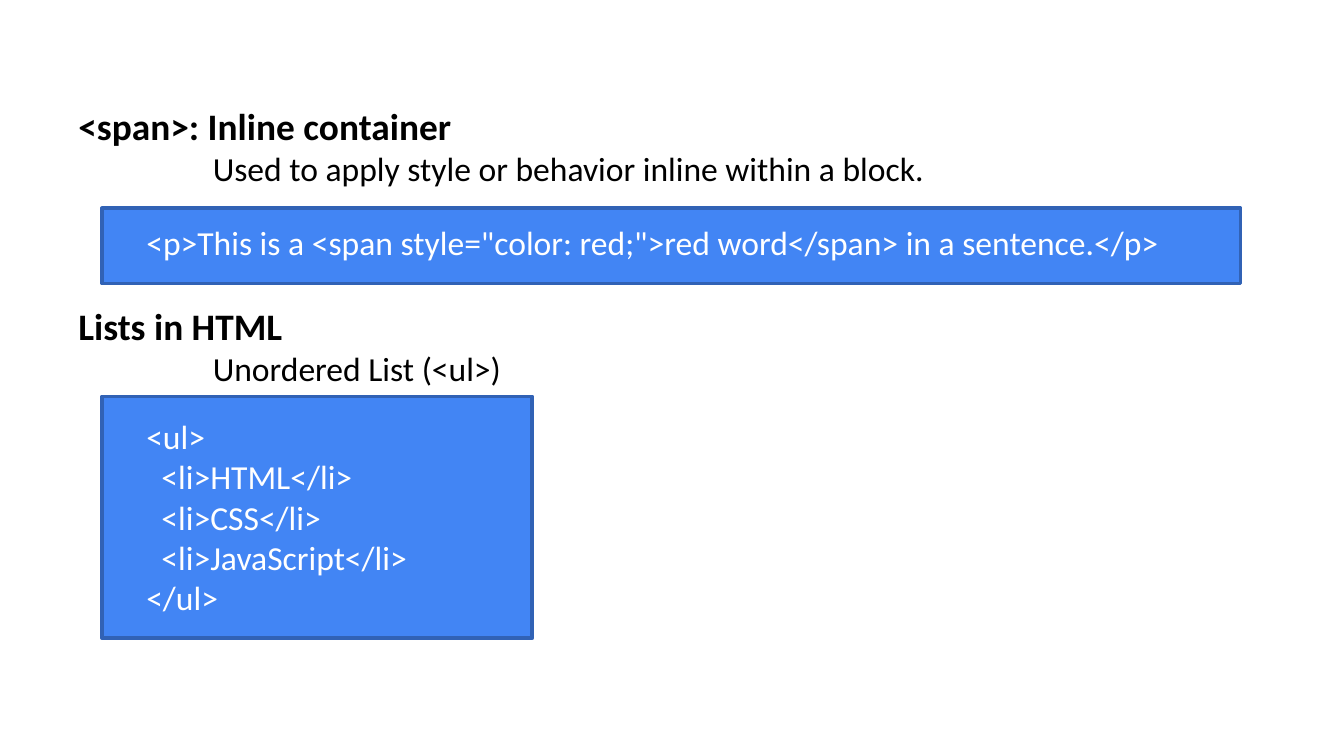
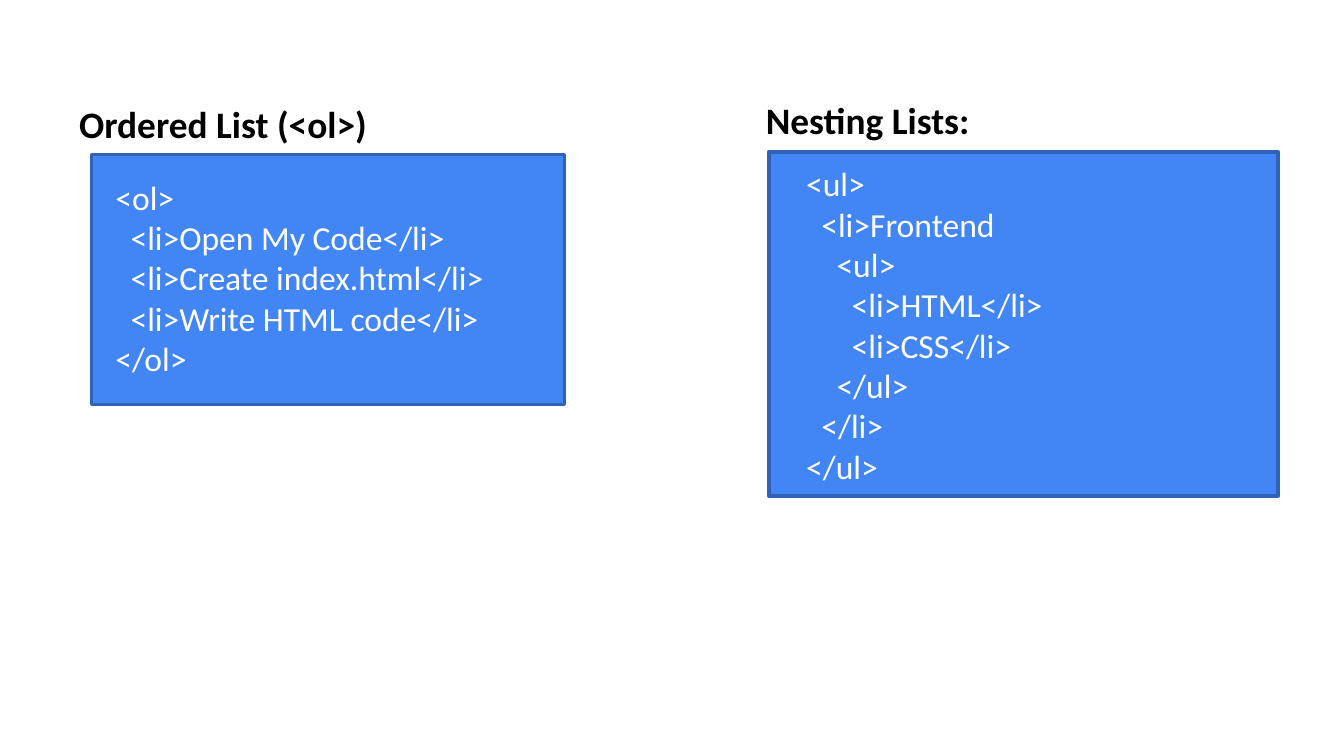
from pptx import Presentation
from pptx.dml.color import RGBColor
from pptx.enum.shapes import MSO_SHAPE
from pptx.enum.text import MSO_ANCHOR, MSO_AUTO_SIZE, PP_ALIGN
from pptx.util import Inches, Pt

# Lengths are cells of a square grid, 100 columns wide and 56.25 rows high.
CELL = Inches(0.1)
COLUMNS, ROWS = 100, 56.25
COLORS = {"panel": "4285F4", "edge": "3162B5", "heading": "000000", "code": "FFFFFF"}
FONT = "Calibri"
STYLES = {
    "heading": {"size": Pt(20), "bold": True, "color": "heading", "row": 3.4, "step": 0},
    "summary": {"size": Pt(18), "bold": False, "color": "heading", "row": 3, "step": 10},
    "code": {"size": Pt(18), "bold": False, "color": "code", "row": 3.04, "step": 1.13},
}
PADDING = 0.5

# Each code line is (nesting level, text); "inset" is the code's offset in its panel.
SLIDES = [
    [
        {
            "heading": "<span>: Inline container",
            "summary": "Used to apply style or behavior inline within a block.",
            "heading_at": (4.85, 7.2, 76.6),
            "panel_at": (7.6, 15.5, 84.7, 5.6),
            "inset": (2.3, 0.5), "code_width": 80.1,
            "code": [
                (0, '<p>This is a <span style="color: red;">red word</span> in a sentence.</p>'),
            ],
        },
        {
            "heading": "Lists in HTML",
            "summary": "Unordered List (<ul>)",
            "heading_at": (4.85, 22.1, 38),
            "panel_at": (7.6, 29.5, 32, 18),
            "inset": (2.3, 0.95), "code_width": 27,
            "code": [
                (0, "<ul>"),
                (1, "<li>HTML</li>"),
                (1, "<li>CSS</li>"),
                (1, "<li>JavaScript</li>"),
                (0, "</ul>"),
            ],
        },
    ],
    [
        {
            "heading": "Ordered List (<ol>)",
            "heading_at": (4.9, 7.05, 23.7),
            "panel_at": (6.8, 11.5, 35.2, 18.6),
            "inset": (0.8, 1.15), "code_width": 32.5,
            "code": [
                (0, "<ol>"),
                (1, "<li>Open My Code</li>"),
                (1, "<li>Create index.html</li>"),
                (1, "<li>Write HTML code</li>"),
                (0, "</ol>"),
            ],
        },
        {
            "heading": "Nesting Lists:",
            "heading_at": (56, 6.75, 17.4),
            "panel_at": (57.2, 11.3, 37.9, 25.6),
            "inset": (1.8, 0.35), "code_width": 36,
            "code": [
                (0, "<ul>"),
                (1, "<li>Frontend"),
                (2, "<ul>"),
                (3, "<li>HTML</li>"),
                (3, "<li>CSS</li>"),
                (2, "</ul>"),
                (1, "</li>"),
                (0, "</ul>"),
            ],
        },
    ],
]


def cells(*lengths):
    return [round(length * CELL) for length in lengths]


def color(name):
    return RGBColor.from_string(COLORS[name])


def add_panel(slide, place):
    panel = slide.shapes.add_shape(MSO_SHAPE.RECTANGLE, *cells(*place))
    panel.shadow.inherit = False
    panel.fill.solid()
    panel.fill.fore_color.rgb = color("panel")
    panel.line.color.rgb = color("edge")
    panel.line.width = Pt(2)


def add_lines(slide, left, top, width, lines, wrap=True):
    """Add a text box as high as its lines, each a (style, level, text)."""
    height = 2 * PADDING + sum(STYLES[style]["row"] for style, _, _ in lines)
    frame = slide.shapes.add_textbox(*cells(left, top, width, height)).text_frame
    settings = {
        "word_wrap": wrap,
        "auto_size": MSO_AUTO_SIZE.SHAPE_TO_FIT_TEXT,
        "vertical_anchor": MSO_ANCHOR.TOP,
    }
    for key, value in settings.items():
        setattr(frame, key, value)
    for index, (style, level, text) in enumerate(lines):
        look = STYLES[style]
        paragraph = frame.add_paragraph() if index else frame.paragraphs[0]
        paragraph.alignment = PP_ALIGN.LEFT
        indent, = cells(level * look["step"])
        paragraph._p.get_or_add_pPr().set("marL", str(indent))
        run = paragraph.add_run()
        run.text = text
        for key, value in {"name": FONT, "size": look["size"], "bold": look["bold"]}.items():
            setattr(run.font, key, value)
        run.font.color.rgb = color(look["color"])


def add_example(slide, example):
    """Add a heading, its optional summary and a panel of code."""
    intro = [("heading", 0, example["heading"])]
    if "summary" in example:
        intro.append(("summary", 1, example["summary"]))
    add_lines(slide, *example["heading_at"], intro, wrap="summary" in example)
    add_panel(slide, example["panel_at"])
    left, top = (edge + gap for edge, gap in zip(example["panel_at"], example["inset"]))
    code = [("code", level, text) for level, text in example["code"]]
    add_lines(slide, left, top, example["code_width"], code)


def main():
    deck = Presentation()
    deck.slide_width, deck.slide_height = cells(COLUMNS, ROWS)
    for examples in SLIDES:
        slide = deck.slides.add_slide(deck.slide_layouts[6])
        for example in examples:
            add_example(slide, example)
    deck.save("out.pptx")


if __name__ == "__main__":
    main()
